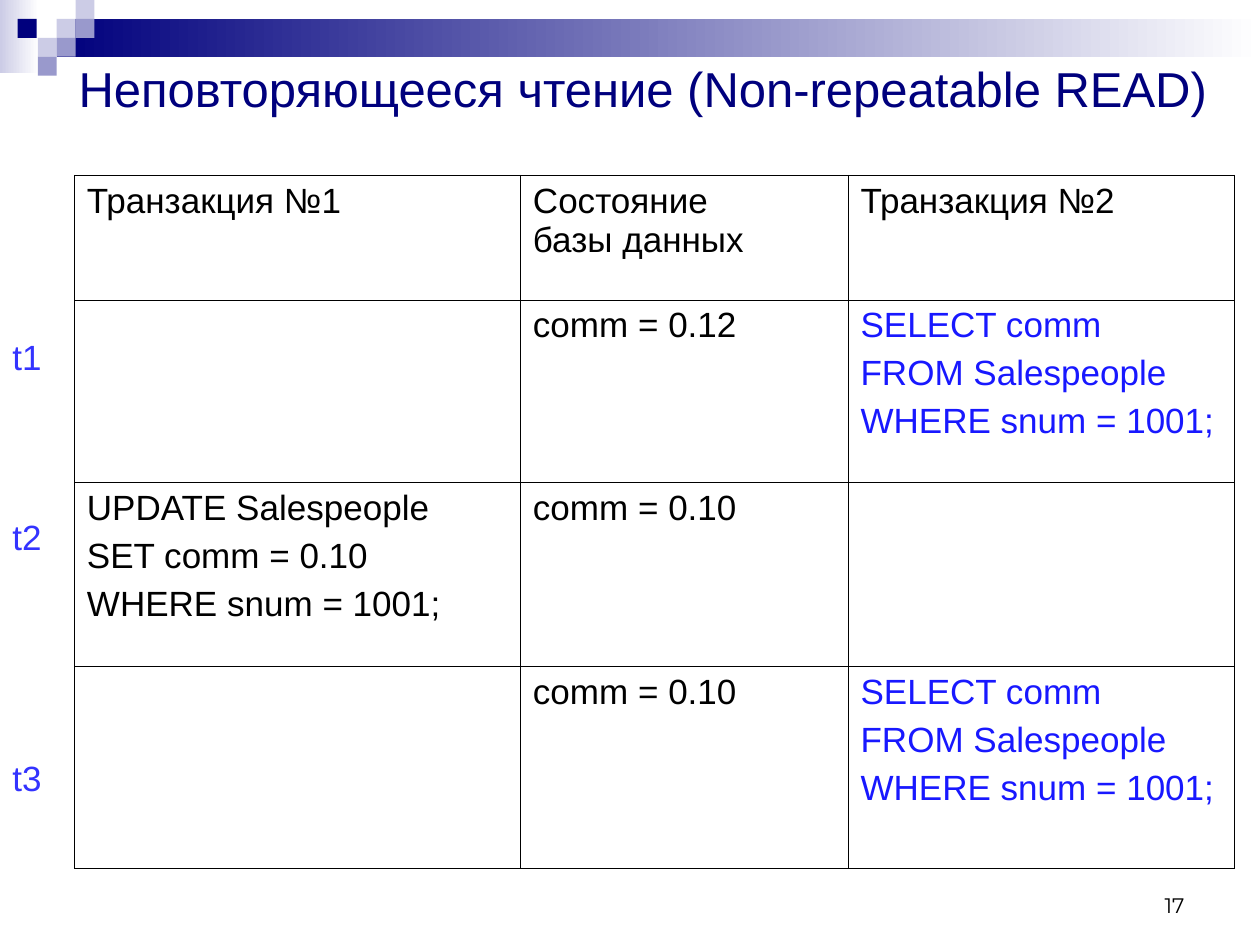
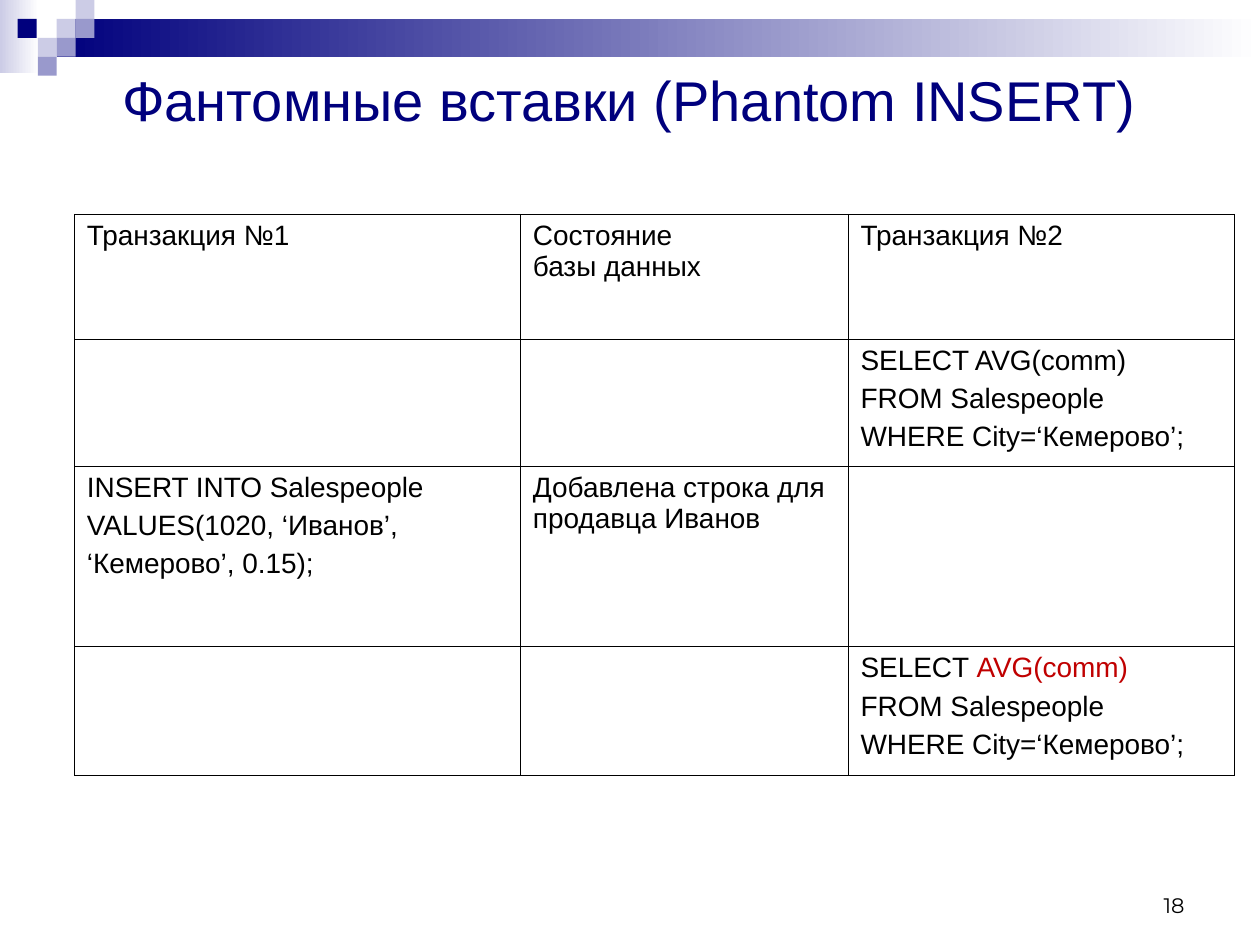
from itertools import product

from lxml.etree import SubElement
from pptx import Presentation
from pptx.dml.color import RGBColor
from pptx.enum.shapes import MSO_SHAPE
from pptx.enum.text import MSO_ANCHOR, MSO_AUTO_SIZE, PP_ALIGN
from pptx.oxml.ns import qn
from pptx.util import Emu, Pt

EMU_PER_PX = 9144  # 100 px to the inch
COLORS = {
    "navy": "00007D",
    "lavender": "CCCCE6",
    "violet": "9999CC",
    "white": "FFFFFF",
    "black": "000000",
    "query": "1818FF",
    "moment": "3333FF",
    "highlight": "C00000",
}
FONT = "Arial"
NUMBER_FONT = "Montserrat"
SQUARE = 15
SQUARES = [
    (45, 15, "lavender"),
    (60, 0, "lavender"),
    (60, 15, "violet"),
    (30, 30, "lavender"),
    (14, 15, "navy"),
    (45, 30, "violet"),
    (30, 45, "violet"),
]
COLUMN_WIDTHS = [354, 260, 307]
TABLE_LEFT = 59
HEADER = ["Транзакция №1", "Состояние\vбазы данных", "Транзакция №2"]
BORDER_WIDTH = Pt(0.45)


def px(length):
    return Emu(length * EMU_PER_PX)


def box(left, top, width, height):
    return px(left), px(top), px(width), px(height)


def rgb(name):
    return RGBColor.from_string(COLORS[name])


def add_run(paragraph, text, size, color="black", font=FONT):
    run = paragraph.add_run()
    run.text = text
    run.font.size = Pt(size)
    run.font.name = font
    run.font.color.rgb = rgb(color)


def add_rectangle(slide, bounds, *colors):
    """One colour gives a solid fill, two give a left-to-right gradient."""
    shape = slide.shapes.add_shape(MSO_SHAPE.RECTANGLE, *box(*bounds))
    shape.shadow.inherit = False
    shape.line.fill.background()
    if len(colors) == 1:
        shape.fill.solid()
        shape.fill.fore_color.rgb = rgb(colors[0])
        return
    shape.fill.gradient()
    shape.fill.gradient_angle = 0
    for position, (stop, color) in enumerate(zip(shape.fill.gradient_stops, colors)):
        stop.position = position
        stop.color.rgb = rgb(color)


def add_band(slide):
    add_rectangle(slide, (0, 0, 31, 58), "lavender", "white")
    add_rectangle(slide, (45, 15, 955, 30), "navy", "white")
    for left, top, color in SQUARES:
        add_rectangle(slide, (left, top, SQUARE, SQUARE), color)


def set_title(slide, text, bounds, size):
    title = slide.shapes.title
    title.left, title.top, title.width, title.height = box(*bounds)
    frame = title.text_frame
    frame.auto_size = MSO_AUTO_SIZE.NONE
    frame.vertical_anchor = MSO_ANCHOR.MIDDLE
    paragraph = frame.paragraphs[0]
    paragraph.alignment = PP_ALIGN.CENTER
    add_run(paragraph, text, size, "navy")
    slide.shapes.element.append(title.element)  # in front of the band


def add_text_box(slide, bounds):
    frame = slide.shapes.add_textbox(*box(*bounds)).text_frame
    frame.word_wrap = True
    return frame


def add_slide_number(slide, number):
    frame = add_text_box(slide, (717, 683, 233, 50))
    frame.vertical_anchor = MSO_ANCHOR.BOTTOM
    paragraph = frame.paragraphs[0]
    paragraph.alignment = PP_ALIGN.RIGHT
    add_run(paragraph, str(number), 12, font=NUMBER_FONT)


def add_moments(slide, moments):
    """Time marks beside the table, each with its space before in points."""
    frame = add_text_box(slide, (0, 265, 45, 372))
    for index, (text, space_before) in enumerate(moments):
        paragraph = frame.add_paragraph() if index else frame.paragraphs[0]
        paragraph.line_spacing = 0.9
        paragraph.space_before = Pt(space_before)
        add_run(paragraph, text, 20, "moment")


def set_borders(cell):
    properties = cell._tc.get_or_add_tcPr()
    for side in ("lnL", "lnR", "lnT", "lnB"):
        line = SubElement(properties, qn(f"a:{side}"), w=str(BORDER_WIDTH))
        fill = SubElement(line, qn("a:solidFill"))
        SubElement(fill, qn("a:srgbClr"), val=COLORS["black"])


def colored(color, *lines):
    return [[(line, color)] for line in lines]


def fill_cell(cell, content, size):
    """Content is a plain string or a list of paragraphs of (text, colour) runs."""
    paragraphs = colored("black", content) if isinstance(content, str) else content
    for index, runs in enumerate(paragraphs):
        frame = cell.text_frame
        paragraph = frame.add_paragraph() if index else frame.paragraphs[0]
        if index:
            paragraph.space_before = Pt(size / 4)
        for text, color in runs:
            for part, line in enumerate(text.split("\v")):
                if part:
                    paragraph.add_line_break()
                if line:
                    add_run(paragraph, line, size, color)


def add_transaction_table(slide, top, row_heights, rows, size):
    rows = [HEADER, *rows]
    bounds = box(TABLE_LEFT, top, sum(COLUMN_WIDTHS), sum(row_heights))
    table = slide.shapes.add_table(len(rows), len(COLUMN_WIDTHS), *bounds).table
    table.first_row = table.horz_banding = False
    for column, width in zip(table.columns, COLUMN_WIDTHS):
        column.width = px(width)
    for row, height in zip(table.rows, row_heights):
        row.height = px(height)
    for row, column in product(range(len(rows)), range(len(COLUMN_WIDTHS))):
        cell = table.cell(row, column)
        set_borders(cell)
        cell.fill.background()
        fill_cell(cell, rows[row][column], size)


def add_slide(presentation, number, title, title_bounds, title_size):
    slide = presentation.slides.add_slide(presentation.slide_layouts[5])
    add_band(slide)
    set_title(slide, title, title_bounds, title_size)
    add_slide_number(slide, number)
    return slide


def add_non_repeatable_read(presentation):
    slide = add_slide(presentation, 17, "Неповторяющееся чтение (Non-repeatable READ)",
                      (20, 44, 980, 52), 28)
    condition = "WHERE snum = 1001;"
    select = colored("query", "SELECT comm", "FROM Salespeople", condition)
    update = colored("black", "UPDATE Salespeople", "SET comm = 0.10", condition)
    rows = [
        ["", "comm = 0.12", select],
        [update, "comm = 0.10", ""],
        ["", "comm = 0.10", select],
    ]
    add_transaction_table(slide, 139, [99, 145, 146, 160], rows, 20)
    add_moments(slide, [("t1", 0), ("t2", 81.5), ("t3", 116)])


def add_phantom_insert(presentation):
    slide = add_slide(presentation, 18, "Фантомные вставки (Phantom INSERT)",
                      (50, 50, 899, 57), 32)
    average = "AVG(comm)"
    source = colored("black", "FROM Salespeople", "WHERE City=‘Кемерово’;")
    first_select = colored("black", f"SELECT {average}") + source
    second_select = [[("SELECT ", "black"), (average, "highlight")]] + source
    insert = colored("black", "INSERT INTO Salespeople", "VALUES(1020, ‘Иванов’,",
                     "‘Кемерово’, 0.15);")
    rows = [
        ["", "", first_select],
        [insert, "Добавлена строка для продавца Иванов", ""],
        ["", "", second_select],
    ]
    add_transaction_table(slide, 170, [99, 101, 143, 102], rows, 16)


def main():
    presentation = Presentation()
    presentation.slide_width, presentation.slide_height = px(1000), px(750)
    add_non_repeatable_read(presentation)
    add_phantom_insert(presentation)
    presentation.save("out.pptx")


if __name__ == "__main__":
    main()
